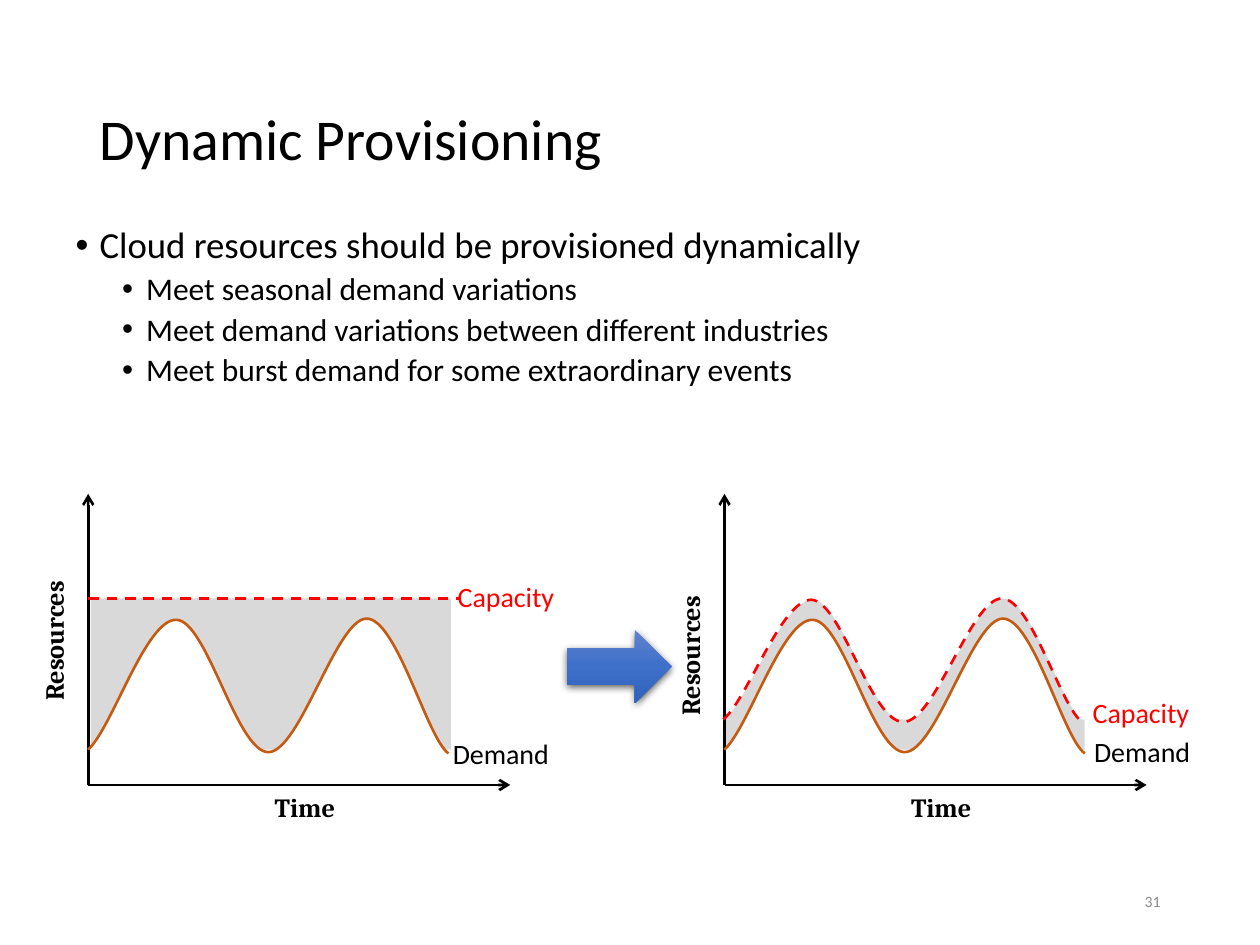
from copy import deepcopy

from pptx import Presentation
from pptx.dml.color import RGBColor
from pptx.enum.dml import MSO_LINE
from pptx.enum.shapes import MSO_CONNECTOR, MSO_SHAPE
from pptx.enum.text import MSO_ANCHOR, PP_ALIGN
from pptx.oxml import parse_xml
from pptx.oxml.ns import nsdecls, qn
from pptx.oxml.xmlchemy import OxmlElement
from pptx.util import Inches, Pt

COLORS = {"ink": "000000", "surplus": "D9D9D9", "demand": "C55A11",
          "capacity": "FF0000", "paper": "FFFFFF", "number": "8C8C8C"}
ARROW_STOPS = [(0, "6183CB"), (0.5, "3E70CA"), (1, "3062BB")]

TITLE = "Dynamic Provisioning"
BULLETS = [
    (0, "Cloud resources should be provisioned dynamically"),
    (1, "Meet seasonal demand variations"),
    (1, "Meet demand variations between different industries"),
    (1, "Meet burst demand for some extraordinary events"),
]
# Per level: font size, left indent in inches, space before
LEVELS = [(21, 0.19, 7.5), (18, 0.56, 3.8)]

# Bezier points: x from the vertical axis, y from the top of the slide
DEMAND = [(0, 5.95), (0.19, 5.78), (0.46, 4.91), (0.7, 4.92),
          (0.94, 4.92), (1.18, 5.97), (1.43, 5.97),
          (1.68, 5.97), (1.97, 4.91), (2.21, 4.91),
          (2.45, 4.91), (2.69, 5.86), (2.86, 5.98)]
CAPACITY = [(0, 5.71), (0.19, 5.56), (0.46, 4.76), (0.7, 4.76),
            (0.94, 4.77), (1.17, 5.73), (1.43, 5.73),
            (1.68, 5.73), (1.97, 4.75), (2.21, 4.75),
            (2.45, 4.75), (2.68, 5.63), (2.86, 5.74)]
AXIS_TOP, AXIS_BOTTOM, AXIS_LENGTH = 3.92, 6.23, 3.35
FLAT_CAPACITY, CURVE_WIDTH = 4.75, 2.86

# Labels: text, box, font, size, colour, vertical
LABEL_STYLES = {
    "Demand": (0.97, 0.37, "Calibri", 16, "ink", False),
    "Capacity": (1.05, 0.37, "Calibri", 16, "capacity", False),
    "Time": (0.7, 0.35, "Cambria", 15, "ink", False),
    "Resources": (0.45, 1.09, "Cambria", 15, "ink", True),
}
CHARTS = [
    {"left": 0.7, "dynamic": False, "labels": {
        "Demand": (3.49, 5.8), "Capacity": (3.49, 4.55),
        "Time": (2.07, 6.23), "Resources": (0.25, 4.54)}},
    {"left": 5.75, "dynamic": True, "labels": {
        "Demand": (8.58, 5.78), "Capacity": (8.53, 5.47),
        "Time": (7.12, 6.23), "Resources": (5.3, 4.66)}},
]


def rgb(name):
    return RGBColor.from_string(COLORS[name])


def place(shape, *bounds):
    shape.left, shape.top, shape.width, shape.height = map(Inches, bounds)


def style_text(paragraph, size, color, font="Calibri", bold=False):
    for span in paragraph.runs:
        span.font.size, span.font.name, span.font.bold = Pt(size), font, bold
        span.font.color.rgb = rgb(color)


def set_line(shape, color, dashed=False):
    shape.line.color.rgb = rgb(color)
    shape.line.width = Pt(1.5)
    if dashed:
        shape.line.dash_style = MSO_LINE.DASH


def set_fill(shape, color):
    shape.shadow.inherit = False
    if color:
        shape.fill.solid()
        shape.fill.fore_color.rgb = rgb(color)
    else:
        shape.fill.background()


def add_line(page, start, end, color, dashed=False, arrow=False):
    line = page.shapes.add_connector(MSO_CONNECTOR.STRAIGHT,
                                     *map(Inches, start + end))
    set_line(line, color, dashed)
    if arrow:
        line.line._get_or_add_ln().append(
            parse_xml(f'<a:tailEnd {nsdecls("a")} type="arrow"/>'))
    line._element.spPr.append(OxmlElement("a:effectLst"))


def add_curve(page, left, points, fill=None, line=None, dashed=False):
    """Draw a freeform whose points are one start, then Bezier triples."""
    places = [(Inches(left + x), Inches(y)) for x, y in points]
    builder = page.shapes.build_freeform(*places[0])
    builder.add_line_segments(places[1:], close=False)
    curve = builder.convert_to_shape()
    outline = curve._element.find(".//" + qn("a:path"))
    segments = outline.findall(qn("a:lnTo"))
    for first in range(0, len(segments), 3):
        bezier = OxmlElement("a:cubicBezTo")
        for segment in segments[first:first + 3]:
            bezier.append(segment[0])
            outline.remove(segment)
        outline.append(bezier)
    set_fill(curve, fill)
    if line:
        set_line(curve, line, dashed)
    else:
        curve.line.fill.background()


def add_surplus(page, left, top, bottom):
    area = page.shapes.add_shape(MSO_SHAPE.RECTANGLE, *map(
        Inches, (left, top, CURVE_WIDTH, bottom - top)))
    set_fill(area, "surplus")
    area.line.fill.background()


def add_label(page, text, left, top):
    width, height, font, size, color, vertical = LABEL_STYLES[text]
    box = page.shapes.add_textbox(*map(Inches, (left, top, width, height)))
    frame = box.text_frame
    frame.text, frame.word_wrap = text, False
    if vertical:
        frame._txBody.bodyPr.set("vert", "vert270")
    frame.paragraphs[0].alignment = PP_ALIGN.CENTER
    style_text(frame.paragraphs[0], size, color, font, font == "Cambria")


def add_chart_drawing(page, left, dynamic, labels):
    if dynamic:
        add_surplus(page, left, 5.71, 5.95)
        add_curve(page, left, CAPACITY, fill="surplus")
    else:
        add_surplus(page, left + 0.02, FLAT_CAPACITY, 5.95)
    origin = (left, AXIS_BOTTOM)
    add_line(page, origin, (left, AXIS_TOP), "ink", arrow=True)
    add_line(page, origin, (left + AXIS_LENGTH, AXIS_BOTTOM), "ink", arrow=True)
    add_curve(page, left, DEMAND, fill="paper", line="demand")
    if dynamic:
        add_curve(page, left - 0.01, CAPACITY, line="capacity", dashed=True)
    else:
        add_line(page, (left, FLAT_CAPACITY), (left + 2.94, FLAT_CAPACITY),
                 "capacity", dashed=True)
    for text, corner in labels.items():
        add_label(page, text, *corner)


def add_bullets(body):
    frame = body.text_frame
    frame.text = "\n".join(text for _, text in BULLETS)
    for paragraph, (level, _) in zip(frame.paragraphs, BULLETS):
        size, indent, before = LEVELS[level]
        paragraph.level, paragraph.line_spacing = level, 0.9
        paragraph.space_before = Pt(before)
        properties = paragraph._p.get_or_add_pPr()
        properties.set("marL", str(Inches(indent)))
        properties.set("indent", str(Inches(-0.19)))
        properties.append(parse_xml(f'<a:buFont {nsdecls("a")} typeface="Arial"/>'))
        properties.append(parse_xml(f'<a:buChar {nsdecls("a")} char="•"/>'))
        style_text(paragraph, size, "ink")


def add_block_arrow(page):
    arrow = page.shapes.add_shape(MSO_SHAPE.RIGHT_ARROW,
                                  *map(Inches, (4.5, 5, 0.83, 0.58)))
    arrow.line.fill.background()
    arrow.fill.gradient()
    arrow.fill.gradient_angle = 270
    stops = arrow._element.spPr.find(".//" + qn("a:gsLst"))
    stops.insert(1, deepcopy(stops[0]))
    for stop, (position, color) in zip(arrow.fill.gradient_stops, ARROW_STOPS):
        stop.position = position
        stop.color.rgb = RGBColor.from_string(color)
    arrow._element.spPr.append(parse_xml(
        f'<a:effectLst {nsdecls("a")}><a:outerShdw blurRad="{Pt(4.5)}" '
        f'dist="{Pt(1.5)}" dir="5400000" rotWithShape="0"><a:srgbClr val="000000">'
        '<a:alpha val="63000"/></a:srgbClr></a:outerShdw></a:effectLst>'))


def main():
    deck = Presentation()
    deck.slide_width, deck.slide_height = Inches(10), Inches(7.5)
    page = deck.slides.add_slide(deck.slide_layouts[1])
    title, body = page.placeholders
    place(title, 0.69, 0.4, 8.62, 1.45)
    title.text_frame.text = TITLE
    title.text_frame.vertical_anchor = MSO_ANCHOR.MIDDLE
    heading = title.text_frame.paragraphs[0]
    heading.alignment, heading.line_spacing = PP_ALIGN.LEFT, 0.9
    style_text(heading, 33, "ink")
    place(body, 0.5, 1.75, 9, 2.5)
    add_bullets(body)

    number = page.shapes.add_textbox(*map(Inches, (7.06, 6.95, 2.25, 0.4)))
    number.text_frame.text, number.text_frame.word_wrap = "31", True
    number.text_frame.vertical_anchor = MSO_ANCHOR.MIDDLE
    number.text_frame.paragraphs[0].alignment = PP_ALIGN.RIGHT
    style_text(number.text_frame.paragraphs[0], 9, "number")

    for chart in CHARTS:
        add_chart_drawing(page, **chart)
    add_block_arrow(page)
    deck.save("out.pptx")


if __name__ == "__main__":
    main()
